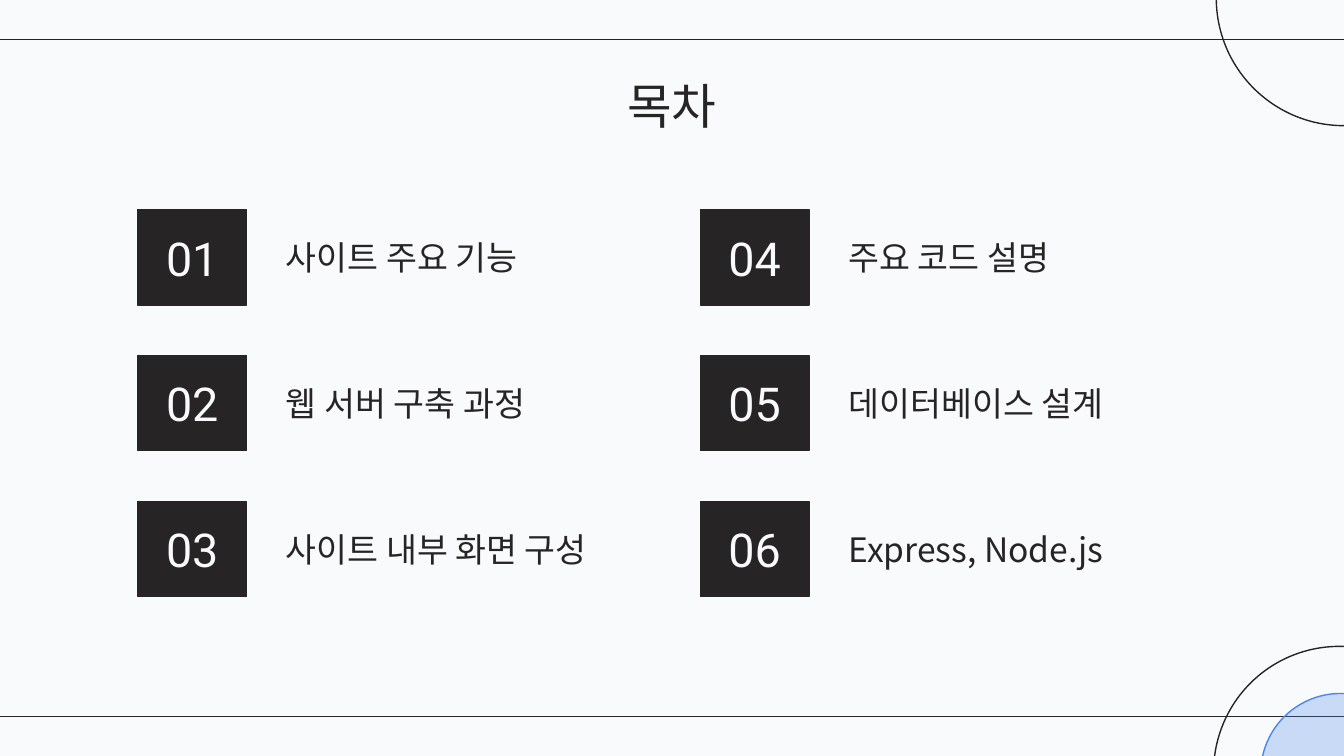
"""Build the contents slide: a title, six numbered topics and line decor."""
from dataclasses import dataclass

import pptx
import pptx.dml.color
import pptx.enum.shapes
import pptx.enum.text
import pptx.oxml.ns
import pptx.util
from lxml import etree

PX = 4572
SHAPE = pptx.enum.shapes.MSO_SHAPE
ALIGN = pptx.enum.text.PP_ALIGN


@dataclass(frozen=True)
class Theme:
    ink: str = "262425"
    paper: str = "F8FAFB"
    blue: str = "4A86E8"
    sans: str = "Noto Sans CJK KR"
    digit: str = "Roboto"
    head: int = 26
    num: int = 25
    body: int = 18
    line: float = 0.75
    alpha: int = 27


@dataclass(frozen=True)
class Box:
    x: int
    y: int
    w: int
    h: int

    def emu(self) -> tuple[int, ...]:
        return tuple(n * PX for n in (self.x, self.y, self.w, self.h))


@dataclass(frozen=True)
class Ring:
    box: Box
    color: str
    fill: bool = False


THEME = Theme()
WIDE, HIGH = 2000, 1125
RULES = (59, 1066)
RINGS = (
    Ring(Box(1806, 962, 374, 374), THEME.ink),
    Ring(Box(1876, 1032, 238, 238), THEME.blue, True),
    Ring(Box(1810, -193, 380, 380), THEME.ink),
)
TOPICS = (
    "사이트 주요 기능", "웹 서버 구축 과정", "사이트 내부 화면 구성",
    "주요 코드 설명", "데이터베이스 설계", "Express, Node.js",
)
ROWS = 3
LEFT, TOP = 205, 312
COL, ROW = 837, 217


def rgb(color: str) -> pptx.dml.color.RGBColor:
    return pptx.dml.color.RGBColor.from_string(color)


def add_child(node, tag: str, **attrs: str) -> None:
    etree.SubElement(node, pptx.oxml.ns.qn(tag), **attrs)


def write(shape, text: str, size: int, face: str, color: str, align) -> None:
    frame = shape.text_frame
    inset = pptx.util.Inches(0.1)
    style = {
        "word_wrap": True,
        "auto_size": pptx.enum.text.MSO_AUTO_SIZE.NONE,
        "vertical_anchor": pptx.enum.text.MSO_ANCHOR.MIDDLE,
        "margin_left": inset, "margin_right": inset,
        "margin_top": inset, "margin_bottom": inset,
    }
    for key, value in style.items():
        setattr(frame, key, value)
    para = frame.paragraphs[0]
    para.alignment = align
    run = para.add_run()
    run.text = text
    for key, value in {"name": face, "size": pptx.util.Pt(size)}.items():
        setattr(run.font, key, value)
    run.font.color.rgb = rgb(color)
    add_child(run.font._element, "a:ea", typeface=face)


def add_shape(slide, kind, box: Box, color: str, fill: bool):
    shape = slide.shapes.add_shape(kind, *box.emu())
    shape.shadow.inherit = False
    shape.line.color.rgb = rgb(color)
    shape.line.width = pptx.util.Pt(THEME.line)
    if fill:
        shape.fill.solid()
        shape.fill.fore_color.rgb = rgb(color)
    else:
        shape.fill.background()
    return shape


def add_rule(slide, y: int) -> None:
    rule = slide.shapes.add_connector(
        pptx.enum.shapes.MSO_CONNECTOR.STRAIGHT,
        (WIDE + 4) * PX, y * PX, -4 * PX, y * PX)
    rule.line.color.rgb = rgb(THEME.ink)
    rule.line.width = pptx.util.Pt(THEME.line)
    add_child(rule._element.spPr, "a:effectLst")


def add_ring(slide, ring: Ring) -> None:
    shape = add_shape(slide, SHAPE.OVAL, ring.box, ring.color, ring.fill)
    if ring.fill:
        tint = shape._element.spPr.xpath("./a:solidFill/a:srgbClr")[0]
        add_child(tint, "a:alpha", val=str(THEME.alpha * 1000))


def add_topic(slide, index: int, text: str) -> None:
    col, row = divmod(index, ROWS)
    x, y = LEFT + col * COL, TOP + row * ROW
    tile = add_shape(slide, SHAPE.RECTANGLE, Box(x, y, 162, 142), THEME.ink, True)
    write(tile, f"{index + 1:02}", THEME.num, THEME.digit, THEME.paper, ALIGN.CENTER)
    label = slide.shapes.add_textbox(*Box(x + 201, y, 600, 142).emu())
    write(label, text, THEME.body, THEME.sans, THEME.ink, ALIGN.LEFT)


def add_title(slide, text: str, box: Box) -> None:
    title = slide.shapes.title
    for key, value in zip(("left", "top", "width", "height"), box.emu()):
        setattr(title, key, value)
    write(title, text, THEME.head, THEME.sans, THEME.ink, ALIGN.CENTER)


def main() -> None:
    deck = pptx.Presentation()
    deck.slide_width, deck.slide_height = WIDE * PX, HIGH * PX
    slide = deck.slides.add_slide(deck.slide_layouts.get_by_name("Title Only"))
    slide.background.fill.solid()
    slide.background.fill.fore_color.rgb = rgb(THEME.paper)
    for y in RULES:
        add_rule(slide, y)
    for ring in RINGS:
        add_ring(slide, ring)
    add_title(slide, "목차", Box(157, 90, 1686, 134))
    for index, text in enumerate(TOPICS):
        add_topic(slide, index, text)
    deck.save("out.pptx")


if __name__ == "__main__":
    main()
